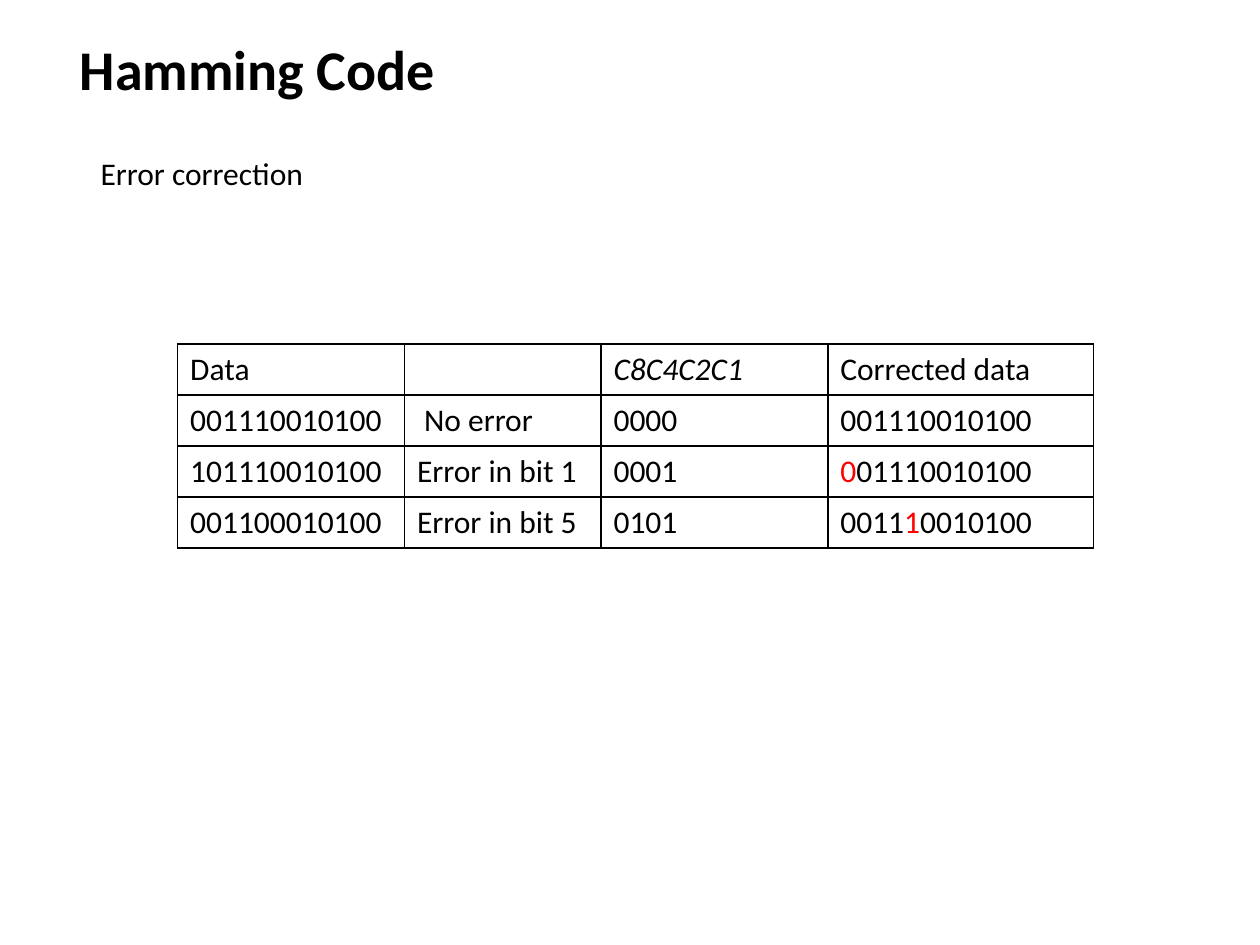
from dataclasses import dataclass

from lxml import etree
from pptx import Presentation
from pptx.dml.color import RGBColor
from pptx.enum.text import MSO_ANCHOR, PP_ALIGN
from pptx.oxml.ns import qn
from pptx.util import Inches, Pt

LEFT, CENTER = PP_ALIGN.LEFT, PP_ALIGN.CENTER
TOP, MIDDLE = MSO_ANCHOR.TOP, MSO_ANCHOR.MIDDLE


@dataclass(frozen=True)
class Theme:
    font: str = "Calibri"
    ink: str = "000000"
    mark: str = "FF0000"
    head: int = 32
    body: int = 18
    rule: int = 1


THEME = Theme()
WIDE, HIGH = 10, 7.5
BOLD, SLANT, RED = {"bold": True}, {"italic": True}, {"color": THEME.mark}

TEXTS = [
    ([("Hamming Code", BOLD)], THEME.head, (0.5, 0.3, 3.09, 0.48), CENTER, MIDDLE),
    ([("Error correction", {})], THEME.body, (0.7, 1.17, 2.58, 0.4), LEFT, TOP),
]
ROWS = [
    ["Data", "", [("C8C4C2C1", SLANT)], "Corrected data"],
    ["001110010100", " No error", "0000", "001110010100"],
    ["101110010100", "Error in bit 1", "0001", [("0", RED), ("01110010100", {})]],
    ["001100010100", "Error in bit 5", "0101",
     [("0011", {}), ("1", RED), ("0010100", {})]],
]
COLS = [1.8, 1.56, 1.8, 2.11]
GRID = (1.41, 2.73, sum(COLS), 1.62)


def write(frame, runs, size, align=LEFT):
    para = frame.paragraphs[0]
    para.alignment = align
    for text, style in runs:
        run = para.add_run()
        run.text = text
        font = run.font
        font.name, font.size = THEME.font, Pt(size)
        font.bold = style.get("bold", False)
        font.italic = style.get("italic", False)
        font.color.rgb = RGBColor.from_string(style.get("color", THEME.ink))


def border(cell):
    props = cell._tc.get_or_add_tcPr()
    for spot, side in enumerate(("a:lnL", "a:lnR", "a:lnT", "a:lnB")):
        line = etree.Element(qn(side), w=str(Pt(THEME.rule)))
        fill = etree.SubElement(line, qn("a:solidFill"))
        etree.SubElement(fill, qn("a:srgbClr"), val=THEME.ink)
        props.insert(spot, line)


def add_text(slide, runs, size, area, align, anchor):
    frame = slide.shapes.add_textbox(*map(Inches, area)).text_frame
    frame.word_wrap = True
    frame.vertical_anchor = anchor
    write(frame, runs, size, align)


def add_grid(slide):
    shape = slide.shapes.add_table(len(ROWS), len(COLS), *map(Inches, GRID))
    table = shape.table
    table.first_row = table.horz_banding = False
    for col, width in zip(table.columns, COLS):
        col.width = Inches(width)
    for r, row in enumerate(ROWS):
        for c, item in enumerate(row):
            cell = table.cell(r, c)
            cell.fill.background()
            border(cell)
            runs = [(item, {})] if isinstance(item, str) else item
            if item:
                write(cell.text_frame, runs, THEME.body)


def main():
    deck = Presentation()
    deck.slide_width, deck.slide_height = Inches(WIDE), Inches(HIGH)
    slide = deck.slides.add_slide(deck.slide_layouts[6])
    for text in TEXTS:
        add_text(slide, *text)
    add_grid(slide)
    deck.save("out.pptx")


if __name__ == "__main__":
    main()
